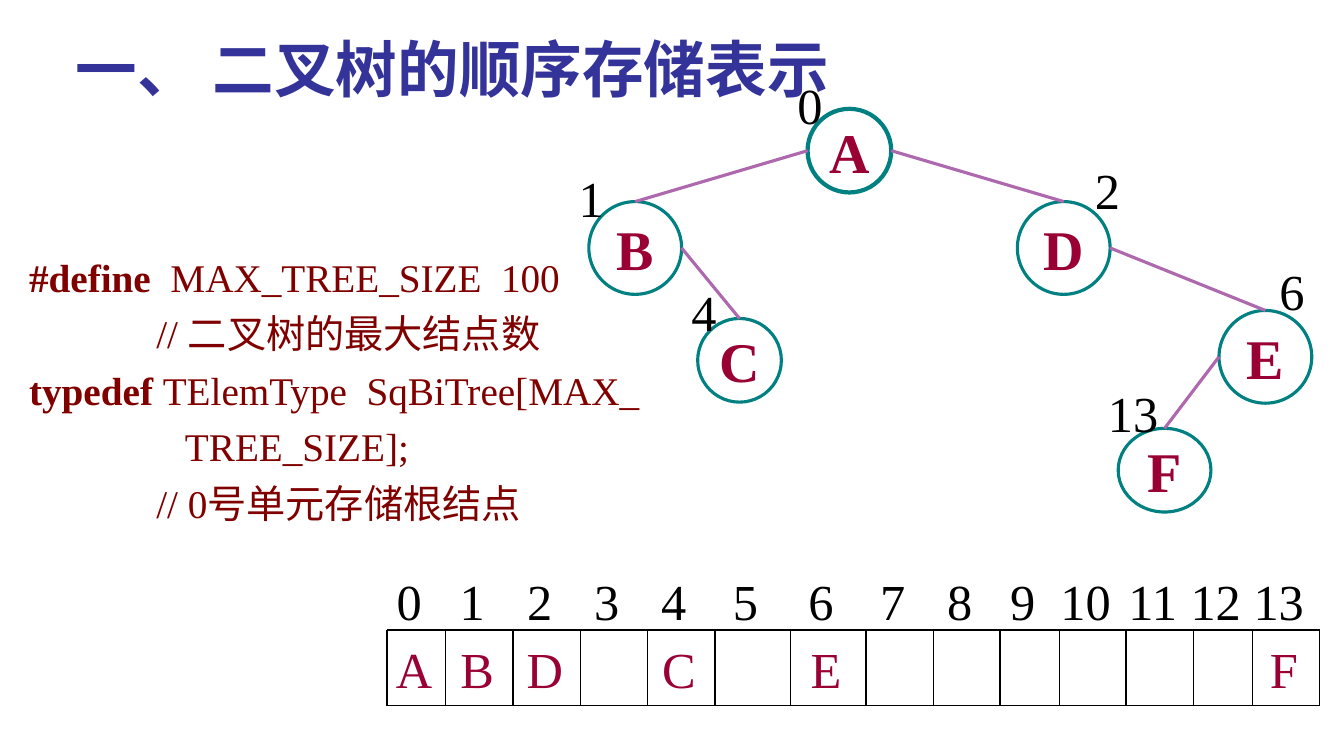
from pptx import Presentation
from pptx.dml.color import RGBColor
from pptx.enum.shapes import MSO_CONNECTOR, MSO_SHAPE
from pptx.enum.text import MSO_ANCHOR, PP_ALIGN
from pptx.oxml.ns import qn
from pptx.util import Inches, Pt
from lxml import etree

STRAIGHT = MSO_CONNECTOR.STRAIGHT
OVAL = MSO_SHAPE.OVAL
MIDDLE = MSO_ANCHOR.MIDDLE
CENTER = PP_ALIGN.CENTER

FONT = "Times New Roman"
BLACK, CRIMSON, MAROON = "000000", "990033", "800000"
NAVY, TEAL, PURPLE, WHITE = "333399", "008080", "AE68AE", "FFFFFF"

NODES = {
    "A": (2.37, 0, 0.83, 0.83, 3),
    "B": (0.2, 0.92, 0.92, 0.92, 2.25),
    "C": (1.28, 2.08, 0.83, 0.83, 2.25),
    "D": (4.45, 0.92, 0.92, 0.92, 2.25),
    "E": (6.45, 2, 0.92, 0.92, 2.25),
    "F": (5.45, 3.17, 0.92, 0.83, 2.25),
}
BRANCHES = [("A", "B", "left"), ("B", "C", "right"), ("A", "D", "right"),
            ("D", "E", "right"), ("E", "F", "left")]
NODE_INDICES = [("1", 0, 0.53), ("4", 1.12, 1.66), ("0", 2.17, -0.39),
                ("13", 5.25, 2.66), ("2", 5.12, 0.45), ("6", 6.95, 1.45)]
CELL_WIDTHS = [0.58, 0.67, 0.67, 0.66, 0.67, 0.75, 0.75,
               0.67, 0.66, 0.59, 0.66, 0.67, 0.58, 0.67]
CELL_VALUES = ["A", "B", "D", "", "C", "", "E", "", "", "", "", "", "", "F"]
CODE = [
    [("#define", True), ("  MAX_TREE_SIZE  100", False)],
    [("             // 二叉树的最大结点数", False)],
    [("typedef ", True), ("TElemType  SqBiTree[MAX_", False)],
    [("                TREE_SIZE];", False)],
    [("             // 0号单元存储根结点", False)],
]


def color(value):
    return RGBColor.from_string(value)


def add_run(paragraph, text, size, fill, bold=False):
    run = paragraph.add_run()
    run.text = text
    run.font.name = FONT
    run.font.size = Pt(size)
    run.font.bold = bold
    run.font.color.rgb = color(fill)


def add_text_box(slide, left, top, width, height, wrap=False):
    box = slide.shapes.add_textbox(Inches(left), Inches(top), Inches(width), Inches(height))
    box.text_frame.word_wrap = wrap
    return box.text_frame


def add_line(slide, start, end, stroke, weight):
    points = [Inches(value) for value in (*start, *end)]
    line = slide.shapes.add_connector(STRAIGHT, *points)
    line.line.color.rgb = color(stroke)
    line.line.width = Pt(weight)
    etree.SubElement(line._element.spPr, qn("a:effectLst"))


def add_title(slide, left, top, width, height):
    frame = add_text_box(slide, left, top, width, height)
    add_run(frame.paragraphs[0], "一、 二叉树的顺序存储表示", 44, NAVY, True)


def add_code(slide, left, top, width, height):
    frame = add_text_box(slide, left, top, width, height, wrap=True)
    for number, parts in enumerate(CODE):
        paragraph = frame.add_paragraph() if number else frame.paragraphs[0]
        paragraph.line_spacing = 1.2
        for text, bold in parts:
            add_run(paragraph, text, 28, MAROON, bold)


def add_node(slide, name, left, top, width, height, weight):
    node = slide.shapes.add_shape(OVAL, Inches(left), Inches(top), Inches(width), Inches(height))
    node.shadow.inherit = False
    node.fill.solid()
    node.fill.fore_color.rgb = color(WHITE)
    node.line.color.rgb = color(TEAL)
    node.line.width = Pt(weight)
    frame = node.text_frame
    frame.word_wrap = False
    frame.vertical_anchor = MIDDLE
    frame.paragraphs[0].alignment = CENTER
    add_run(frame.paragraphs[0], name, 40, CRIMSON, True)


def add_tree(slide, left, top):
    for name, (x, y, width, height, weight) in NODES.items():
        add_node(slide, name, left + x, top + y, width, height, weight)
    for parent, child, side in BRANCHES:
        x, y, width, height, _ = NODES[parent]
        child_x, child_y, child_width, _, _ = NODES[child]
        start_x = left + x + (width if side == "right" else 0)
        add_line(slide, (start_x, top + y + height / 2),
                 (left + child_x + child_width / 2, top + child_y), PURPLE, 2.25)
    for text, x, y in NODE_INDICES:
        width = 0.45 if len(text) == 1 else 0.7
        frame = add_text_box(slide, left + x, top + y, width, 0.7)
        add_run(frame.paragraphs[0], text, 36, BLACK)


def add_array_row(slide, left, top, centers, texts, fill):
    frame = add_text_box(slide, left, top, 9.5, 0.7, wrap=True)
    paragraph = frame.paragraphs[0]
    tabs = etree.SubElement(paragraph._p.get_or_add_pPr(), qn("a:tabLst"))
    for center in centers:
        position = Inches(center - left) - frame.margin_left
        etree.SubElement(tabs, qn("a:tab"), pos=str(int(position)), algn="ctr")
    add_run(paragraph, "".join("\t" + text for text in texts), 36, fill)


def add_array(slide, left, top, height):
    edges = [left + sum(CELL_WIDTHS[:count]) for count in range(len(CELL_WIDTHS) + 1)]
    centers = [(start + end) / 2 for start, end in zip(edges, edges[1:])]
    bottom = top + height
    for y in (top, bottom):
        add_line(slide, (left, y), (edges[-1], y), BLACK, 1)
    for x in edges:
        add_line(slide, (x, top), (x, bottom), BLACK, 1)
    add_array_row(slide, left - 0.08, top + 0.03, [x - 0.02 for x in centers],
                  CELL_VALUES, CRIMSON)
    add_array_row(slide, left - 0.08, top - 0.64, [x - 0.07 for x in centers],
                  [str(index) for index in range(len(CELL_WIDTHS))], BLACK)


def main():
    presentation = Presentation()
    presentation.slide_width = Inches(13.33)
    presentation.slide_height = Inches(7.5)
    slide = presentation.slides.add_slide(presentation.slide_layouts[6])
    add_array(slide, 3.84, 6.25, 0.75)
    add_tree(slide, 5.64, 1.08)
    add_code(slide, 0.19, 2.37, 10.75, 2.93)
    add_title(slide, 0.65, 0.26, 7.69, 0.83)
    presentation.save("out.pptx")


if __name__ == "__main__":
    main()
